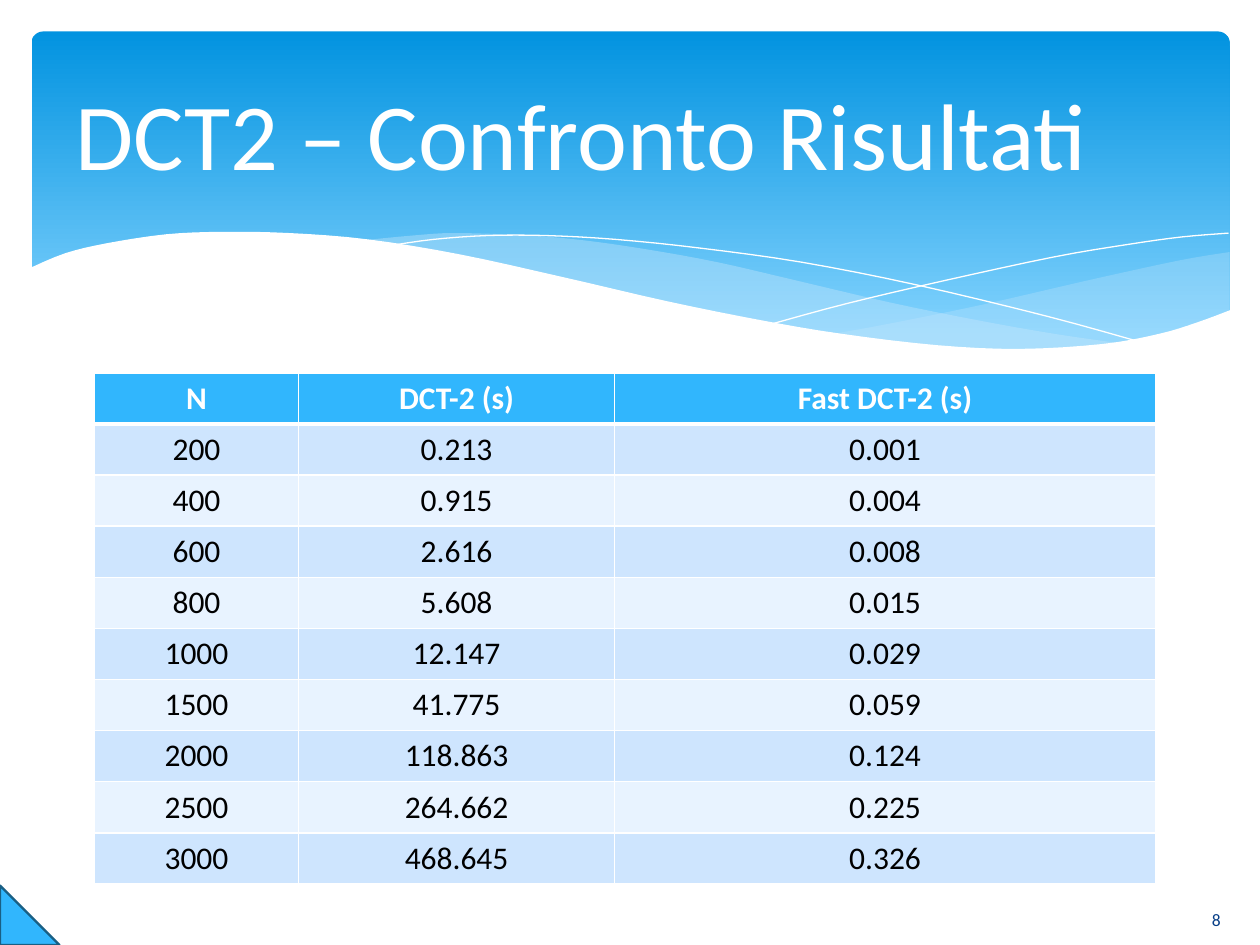
from lxml import etree
from pptx import Presentation
from pptx.dml import color
from pptx.enum import shapes, text
from pptx.oxml import ns
from pptx.util import Pt

FONT = "Calibri"
WHITE = "FFFFFF"
ACCENT = "31B6FD"

RIGHT_TOP = [(702.7, 144), (673, 149), (620, 160.6), (561, 174.2), (508, 185),
             (476, 190.8)]
RIGHT_BOTTOM = [(476, 190.8), (507.6, 195.1), (545, 198.7), (586, 200.2),
                (621.4, 198), (651.6, 193.7), (678.2, 186.5), (702.7, 177.8)]
MIDDLE_TOP = [(643, 196.6), (602.6, 190.8), (558, 182.9), (508.3, 172.8),
              (452.9, 159.8), (409.7, 149.8), (370, 142.6), (334.8, 137.5),
              (302.4, 134.6), (260, 133.2), (236, 134.6), (206, 137.5)]
MIDDLE_BOTTOM = [(206, 137.5), (246.2, 143.3), (290.9, 151.9), (323.3, 159.8),
                 (381.6, 172.8), (432.7, 183.6), (478.8, 191.5), (519.8, 197.3),
                 (556.6, 199.4), (589, 200.2), (617, 199.4), (643, 196.6)]
FALLING_LINE = [(222.5, 140.4), (247.7, 136.8), (278.6, 134.6), (311.8, 134.6),
                (352, 136.8), (400.3, 141.8), (457.9, 149.8), (523.4, 162.7),
                (598.3, 180.7), (653, 195.8)]
RISING_LINE = [(441.4, 185), (483.8, 173.5), (538.6, 160.6), (601.9, 146.9),
               (644.4, 139.7), (675.4, 135.4), (702, 133.2)]
WHITE_CREST = [(703.4, 177.1), (684, 184.3), (662.4, 190.8), (630, 196.6),
               (582.5, 199.4), (535.7, 197.3), (481, 190.8), (434.2, 182.9),
               (380.9, 172.1), (321.8, 158.4), (262.8, 145.4), (210.2, 136.8),
               (165.6, 133.2), (127.4, 132.5), (95, 133.9), (61.2, 139),
               (37.4, 144.7), (16.6, 153.4)]
WHITE_BASE = [(16.6, 236.9), (703.4, 236.9)]

RESULTS = [
    ("N", "DCT-2 (s)", "Fast DCT-2 (s)"),
    ("200", "0.213", "0.001"),
    ("400", "0.915", "0.004"),
    ("600", "2.616", "0.008"),
    ("800", "5.608", "0.015"),
    ("1000", "12.147", "0.029"),
    ("1500", "41.775", "0.059"),
    ("2000", "118.863", "0.124"),
    ("2500", "264.662", "0.225"),
    ("3000", "468.645", "0.326"),
]


def rgb(code):
    return color.RGBColor.from_string(code)


def paint(fill, code, opacity=100):
    fill.solid()
    fill.fore_color.rgb = rgb(code)
    if opacity < 100:
        for node in fill._xPr.iter(ns.qn("a:srgbClr")):
            etree.SubElement(node, ns.qn("a:alpha"), val=str(opacity * 1000))


def smooth_curve(knots, steps=4):
    padded = [knots[0], *knots, knots[-1]]
    curve = []
    for a, b, c, d in zip(padded, padded[1:], padded[2:], padded[3:]):
        for step in range(steps):
            t = step / steps
            curve.append(tuple(
                (2 * q + (r - p) * t + (2 * p - 5 * q + 4 * r - s) * t ** 2
                 + (3 * q - p - 3 * r + s) * t ** 3) / 2
                for p, q, r, s in zip(a, b, c, d)))
    return curve + [knots[-1]]


def add_outline(page, points, closed):
    corners = [(Pt(x), Pt(y)) for x, y in points]
    builder = page.shapes.build_freeform(*corners[0])
    builder.add_line_segments(corners[1:], close=closed)
    outline = builder.convert_to_shape()
    outline.shadow.inherit = False
    return outline


def add_wave(page, points, code, opacity=100):
    wave = add_outline(page, points, True)
    paint(wave.fill, code, opacity)
    wave.line.fill.background()


def add_thread(page, knots):
    thread = add_outline(page, smooth_curve(knots), False)
    thread.fill.background()
    thread.line.color.rgb = rgb(WHITE)
    thread.line.width = Pt(0)


def add_banner(page):
    banner = page.shapes.add_shape(shapes.MSO_SHAPE.ROUNDED_RECTANGLE,
                                   Pt(18), Pt(18), Pt(684.7), Pt(194.4))
    banner.adjustments[0] = 0.034
    banner.shadow.inherit = False
    banner.line.fill.background()
    banner.fill.gradient()
    banner.fill.gradient_angle = 270
    stops = [(0, "0293E0"), (0.9, "83D3FE")]
    for stop, (position, code) in zip(banner.fill.gradient_stops, stops):
        stop.position = position
        stop.color.rgb = rgb(code)


def add_span(para, words, size, code, bold=False):
    span = para.add_run()
    span.text = words
    span.font.name = FONT
    span.font.size = Pt(size)
    span.font.bold = bold
    span.font.color.rgb = rgb(code)


def add_label(page, frame, words, size, code, align):
    box = page.shapes.add_textbox(*map(Pt, frame))
    box.text_frame.word_wrap = True
    box.text_frame.vertical_anchor = text.MSO_ANCHOR.MIDDLE
    para = box.text_frame.paragraphs[0]
    para.alignment = align
    add_span(para, words, size, code)


def add_borders(cell, bottom):
    properties = cell._tc.get_or_add_tcPr()
    widths = {"lnL": 1, "lnR": 1, "lnT": 1, "lnB": bottom}
    for place, (side, width) in enumerate(widths.items()):
        border = etree.Element(ns.qn("a:" + side), w=str(Pt(width)))
        fill = etree.SubElement(border, ns.qn("a:solidFill"))
        etree.SubElement(fill, ns.qn("a:srgbClr"), val=WHITE)
        properties.insert(place, border)


def add_results(page):
    widths = [116.6, 180.7, 309]
    row_height = 29.2
    table = page.shapes.add_table(
        len(RESULTS), len(widths), Pt(54), Pt(213.1),
        Pt(sum(widths)), Pt(row_height * len(RESULTS))).table
    for column, width in zip(table.columns, widths):
        column.width = Pt(width)
    for index, values in enumerate(RESULTS):
        heading = index == 0
        band = ACCENT if heading else ("E8F3FF", "CEE5FE")[index % 2]
        table.rows[index].height = Pt(row_height)
        for cell, value in zip(table.rows[index].cells, values):
            paint(cell.fill, band)
            add_borders(cell, 3 if heading else 1)
            para = cell.text_frame.paragraphs[0]
            para.alignment = text.PP_ALIGN.CENTER
            add_span(para, value, 18, WHITE if heading else "000000", heading)


def add_corner(page):
    corner = page.shapes.add_shape(shapes.MSO_SHAPE.RIGHT_TRIANGLE,
                                   Pt(0), Pt(506), Pt(34), Pt(34))
    corner.shadow.inherit = False
    paint(corner.fill, ACCENT)
    corner.line.color.rgb = rgb("195F84")
    corner.line.width = Pt(1.25)


def main():
    deck = Presentation()
    deck.slide_width, deck.slide_height = Pt(720), Pt(540)
    page = deck.slides.add_slide(deck.slide_layouts[6])
    add_banner(page)
    add_wave(page, smooth_curve(RIGHT_TOP) + smooth_curve(RIGHT_BOTTOM), "C6E7FC", 29)
    add_wave(page, smooth_curve(MIDDLE_TOP) + smooth_curve(MIDDLE_BOTTOM), "C6E7FC", 40)
    add_thread(page, FALLING_LINE)
    add_thread(page, RISING_LINE)
    add_wave(page, smooth_curve(WHITE_CREST) + WHITE_BASE, WHITE)
    add_label(page, (36, 26.6, 648, 98.6), "DCT2 – Confronto Risultati", 54, WHITE,
              text.PP_ALIGN.LEFT)
    add_label(page, (649.4, 511.2, 91.4, 28.8), "8", 10, "073E87",
              text.PP_ALIGN.CENTER)
    add_results(page)
    add_corner(page)
    deck.save("out.pptx")


if __name__ == "__main__":
    main()
